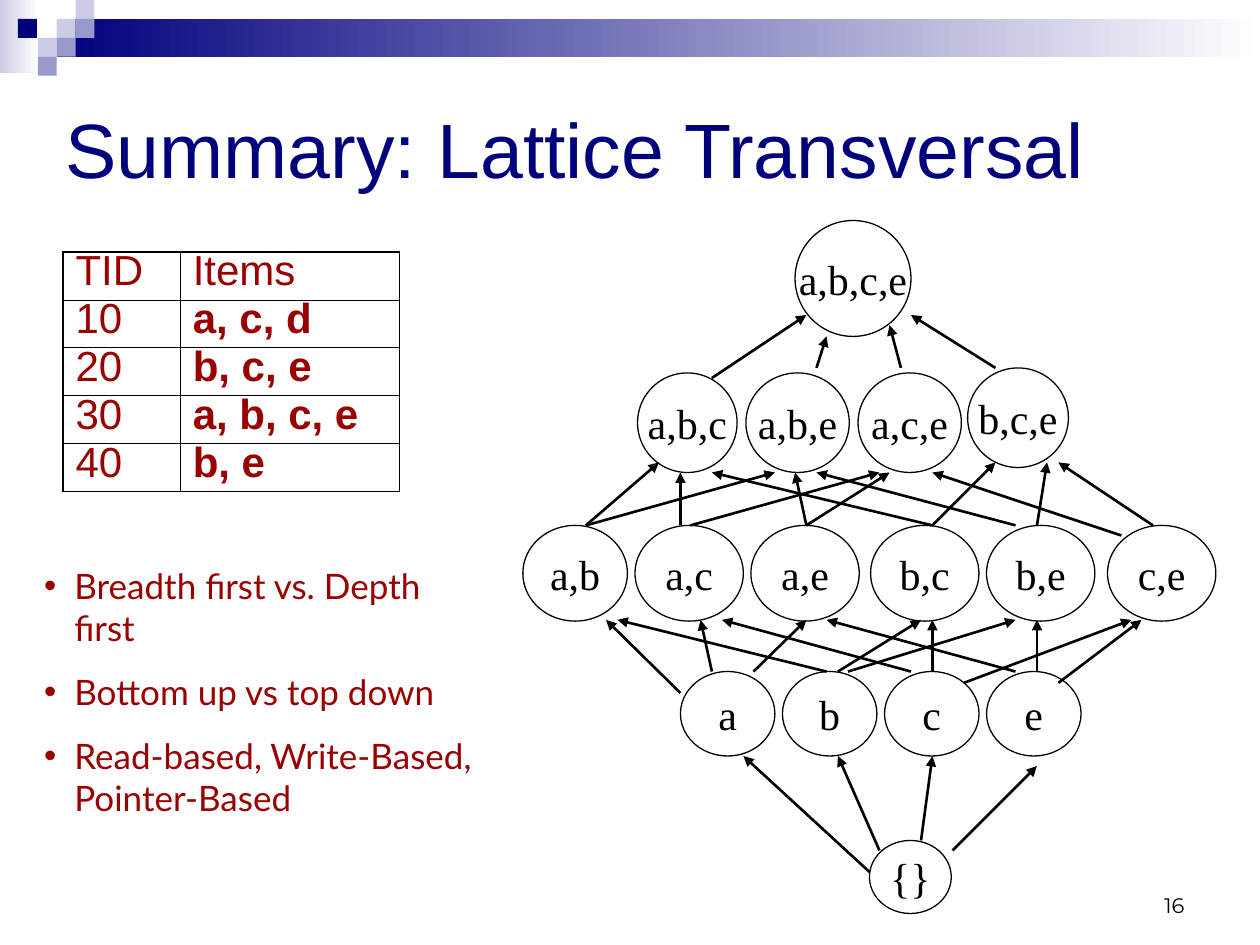
from dataclasses import dataclass

from lxml import etree
from pptx import Presentation
from pptx.dml.color import RGBColor
from pptx.enum.shapes import MSO_CONNECTOR, MSO_SHAPE
from pptx.enum.text import MSO_ANCHOR, MSO_AUTO_SIZE, PP_ALIGN
from pptx.oxml.ns import qn
from pptx.util import Inches, Pt

RECTANGLE, OVAL = MSO_SHAPE.RECTANGLE, MSO_SHAPE.OVAL
STRAIGHT = MSO_CONNECTOR.STRAIGHT
LEFT, CENTER, RIGHT = PP_ALIGN.LEFT, PP_ALIGN.CENTER, PP_ALIGN.RIGHT
TOP, MIDDLE, BOTTOM = MSO_ANCHOR.TOP, MSO_ANCHOR.MIDDLE, MSO_ANCHOR.BOTTOM
NO_AUTOFIT = MSO_AUTO_SIZE.NONE


@dataclass(frozen=True)
class Theme:
    navy: str = "00007D"
    lilac: str = "CCCCE6"
    violet: str = "9999CC"
    red: str = "990000"
    black: str = "000000"
    white: str = "FFFFFF"
    title_size: int = 44
    label_size: int = 24
    list_size: int = 20
    number_size: int = 12
    heading_font: str = "Arial"
    list_font: str = "Lato"
    node_font: str = "Times New Roman"
    number_font: str = "Montserrat"


theme = Theme()


def add_run(paragraph, text, font, size, color, bold=False):
    run = paragraph.add_run()
    run.text = text
    run.font.name = font
    run.font.size = Pt(size)
    run.font.bold = bold
    run.font.color.rgb = RGBColor.from_string(color)


def add_plain_shape(kind, left, top, width, height, color):
    """Add a shape with a solid fill, no line and no shadow."""
    shape = slide.shapes.add_shape(
        kind, Inches(left), Inches(top), Inches(width), Inches(height))
    shape.shadow.inherit = False
    shape.fill.solid()
    shape.fill.fore_color.rgb = RGBColor.from_string(color)
    shape.line.fill.background()
    return shape


prs = Presentation()
prs.slide_width, prs.slide_height = Inches(10), Inches(7.5)
slide = prs.slides.add_slide(prs.slide_layouts[1])

# Header band: two fading bars, then a checkerboard of small squares
for left, top, width, height, color in [
    (0, 0, 0.31, 0.58, theme.lilac),
    (0.45, 0.15, 9.55, 0.3, theme.navy),
]:
    bar = add_plain_shape(RECTANGLE, left, top, width, height, color)
    bar.fill.gradient()
    bar.fill.gradient_angle = 0
    for stop, position, shade in zip(bar.fill.gradient_stops, (0, 1), (color, theme.white)):
        stop.position = position
        stop.color.rgb = RGBColor.from_string(shade)

SQUARE = 0.15
for column, row, color in [
    (3, 1, theme.lilac), (4, 0, theme.lilac), (4, 1, theme.violet),
    (2, 2, theme.lilac), (0.95, 1, theme.navy), (3, 2, theme.violet),
    (2, 3, theme.violet),
]:
    add_plain_shape(RECTANGLE, column * SQUARE, row * SQUARE, SQUARE, SQUARE, color)

# Title
title = slide.shapes.title
title.left, title.top = Inches(0.42), Inches(0.42)
title.width, title.height = Inches(9), Inches(1.5)
title.text_frame.auto_size = NO_AUTOFIT
title.text_frame.vertical_anchor = MIDDLE
title_line = title.text_frame.paragraphs[0]
title_line.alignment = LEFT
add_run(title_line, "Summary: Lattice Transversal",
        theme.heading_font, theme.title_size, theme.navy)

# Lattice nodes, tier by tier: top, height, then (label, left, width)
tiers = [
    (1.75, 0.92, [("a,b,c,e", 6.31, 0.92)]),
    (2.96, 0.79, [("a,b,c", 5.06, 0.79), ("a,b,e", 5.92, 0.82), ("a,c,e", 6.81, 0.82)]),
    (2.92, 0.79, [("b,c,e", 7.68, 0.8)]),
    (4.17, 0.76, [("a,b", 4.15, 0.83), ("a,c", 5.04, 0.86), ("a,e", 5.96, 0.86),
                  ("b,c", 6.91, 0.86), ("b,e", 7.83, 0.86), ("c,e", 8.79, 0.86)]),
    (5.33, 0.67, [(item, 5.4 + 0.81 * i, 0.75) for i, item in enumerate("abce")]),
    (6.67, 0.58, [("{}", 6.9, 0.65)]),
]
for top, height, itemsets in tiers:
    for label, left, width in itemsets:
        node = add_plain_shape(OVAL, left, top, width, height, theme.white)
        node.line.color.rgb = RGBColor.from_string(theme.black)
        node.line.width = Pt(0.75)
        node.text_frame.word_wrap = False
        node.text_frame.vertical_anchor = MIDDLE
        node_line = node.text_frame.paragraphs[0]
        node_line.alignment = CENTER
        add_run(node_line, label, theme.node_font, theme.label_size, theme.black)

# Lattice edges, from subset to superset: x1, y1, x2, y2
edges = [
    # {} to single items
    (6.9, 6.92, 5.9, 6), (6.98, 6.75, 6.65, 6),
    (7.31, 6.67, 7.4, 6), (7.56, 6.75, 8.23, 6.08),
    # single items to pairs
    (5.4, 5.5, 4.81, 4.92), (5.65, 5.33, 5.56, 4.92), (5.98, 5.33, 6.4, 4.92),
    (6.56, 5.33, 4.9, 4.92), (6.65, 5.33, 7.31, 4.92), (6.73, 5.33, 8.06, 4.92),
    (7.23, 5.33, 5.73, 4.92), (7.4, 5.33, 7.4, 4.92), (7.65, 5.42, 8.98, 4.92),
    (8.06, 5.33, 6.56, 4.92), (8.23, 5.33, 8.23, 4.92), (8.4, 5.42, 9.06, 4.92),
    # pairs to triples
    (4.65, 4.17, 5.23, 3.67), (4.65, 4.17, 6.15, 3.75),
    (5.4, 4.17, 5.4, 3.75), (5.48, 4.17, 6.98, 3.75),
    (6.4, 4.17, 6.31, 3.75), (6.4, 4.17, 7.06, 3.75),
    (7.4, 4.17, 5.65, 3.75), (7.4, 4.17, 7.9, 3.67),
    (8.06, 4.17, 6.48, 3.75), (8.23, 4.17, 8.31, 3.67),
    (8.9, 4.25, 7.4, 3.75), (9.15, 4.17, 8.4, 3.67),
    # triples to the full set
    (5.65, 3, 6.4, 2.5), (6.48, 2.92, 6.56, 2.67),
    (7.15, 2.92, 7.06, 2.58), (7.9, 2.92, 7.23, 2.5),
]
for edge in edges:
    arrow = slide.shapes.add_connector(STRAIGHT, *[Inches(v) for v in edge])
    arrow.line.color.rgb = RGBColor.from_string(theme.black)
    arrow.line.width = Pt(1.5)
    etree.SubElement(arrow.line._get_or_add_ln(), qn("a:tailEnd"), type="triangle")
    etree.SubElement(arrow._element.spPr, qn("a:effectLst"))

# Traversal strategies
strategies = slide.placeholders[1]
strategies.left, strategies.top = Inches(0.25), Inches(4.43)
strategies.width, strategies.height = Inches(3.7), Inches(2.11)
strategies.text_frame.auto_size = NO_AUTOFIT
strategies.text_frame.vertical_anchor = TOP
for i, strategy in enumerate([
    "Breadth first vs. Depth first",
    "Bottom up vs top down",
    "Read-based, Write-Based, Pointer-Based",
]):
    frame = strategies.text_frame
    bullet_line = frame.add_paragraph() if i else frame.paragraphs[0]
    bullet_line.space_before = Pt(12.5 if i else 0)
    properties = bullet_line._p.get_or_add_pPr()
    properties.set("marL", str(Inches(0.24)))
    properties.set("indent", str(-Inches(0.24)))
    bullet_color = etree.SubElement(properties, qn("a:buClr"))
    etree.SubElement(bullet_color, qn("a:srgbClr"), val=theme.red)
    etree.SubElement(properties, qn("a:buFont"), typeface=theme.heading_font)
    etree.SubElement(properties, qn("a:buChar"), char="•")
    add_run(bullet_line, strategy, theme.list_font, theme.list_size, theme.red)

# Transaction table: thin inner rules, thicker outer frame
transactions = [("TID", "Items"), ("10", "a, c, d"), ("20", "b, c, e"),
                ("30", "a, b, c, e"), ("40", "b, e")]
last_row = len(transactions) - 1
table = slide.shapes.add_table(
    len(transactions), 2, Inches(0.5), Inches(2), Inches(2.67), Inches(1.9)).table
table.first_row = table.horz_banding = False
table.columns[0].width, table.columns[1].width = Inches(0.93), Inches(1.74)
for r, record in enumerate(transactions):
    table.rows[r].height = Inches(0.38)
    for c, value in enumerate(record):
        cell = table.cell(r, c)
        cell.fill.background()
        cell.vertical_anchor = MIDDLE
        cell_line = cell.text_frame.paragraphs[0]
        cell_line.line_spacing = 0.7
        add_run(cell_line, value, theme.heading_font, theme.label_size, theme.red,
                bold=r > 0 and c == 1)
        outer_sides = {"L": c == 0, "R": c == 1, "T": r == 0, "B": r == last_row}
        for position, (side, is_outer) in enumerate(outer_sides.items()):
            border = etree.Element(qn(f"a:ln{side}"), w=str(Pt(1.08 if is_outer else 0.45)))
            border_fill = etree.SubElement(border, qn("a:solidFill"))
            etree.SubElement(border_fill, qn("a:srgbClr"), val=theme.black)
            cell._tc.get_or_add_tcPr().insert(position, border)

# Slide number
number = slide.shapes.add_textbox(Inches(7.17), Inches(6.83), Inches(2.33), Inches(0.5))
number.text_frame.word_wrap = True
number.text_frame.vertical_anchor = BOTTOM
number_line = number.text_frame.paragraphs[0]
number_line.alignment = RIGHT
add_run(number_line, "16", theme.number_font, theme.number_size, theme.black)

prs.save("out.pptx")
